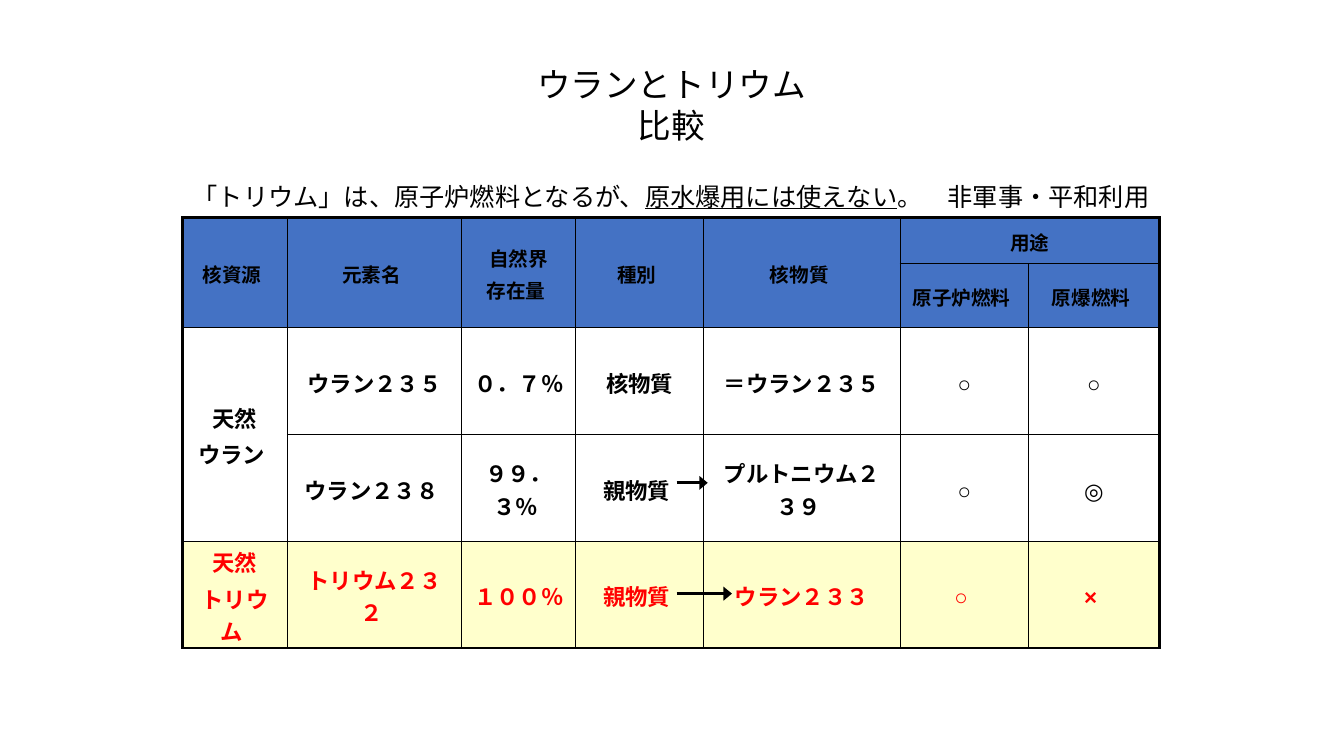
import pptx
import pptx.dml.color
import pptx.enum.shapes
import pptx.enum.text
import pptx.oxml.ns
import pptx.util
import lxml.etree

COLORS = {"ink": "000000", "header": "4472C4", "accent": "FF0000", "highlight": "FFFFCC"}
TITLE_FONT, CAPTION_FONT, TABLE_FONT = "Noto Sans CJK JP", "Cabin", "Arial"
COLUMNS = [1.04, 1.73, 1.13, 1.27, 1.95, 1.27, 1.3]
ROWS = [0.46, 0.61, 1.06, 1.06, 1.06]
MERGES = [(0, column, 1, column) for column in range(5)] + [(0, 5, 0, 6), (2, 0, 3, 0)]
CELLS = [
    ["核資源 ", "元素名 ", "自然界\n存在量 ", "種別 ", "核物質 ", "用途", ""],
    ["", "", "", "", "", "原子炉燃料 ", "原爆燃料 "],
    ["天然\nウラン ", "ウラン２３５", "０．７％", "核物質", "＝ウラン２３５", "○", "○"],
    ["", "ウラン２３８ ", "９９．３％ ", "親物質 ", "プルトニウム２３９ ", "○", "◎"],
    ["天然\nトリウム ", "トリウム２３２ ", "１００％ ", "親物質 ", "ウラン２３３", "○ ", "× "],
]


def rgb(name):
    return pptx.dml.color.RGBColor.from_string(COLORS[name])


def add_element(parent, tag, **attributes):
    return lxml.etree.SubElement(parent, pptx.oxml.ns.qn(tag), **attributes)


def write(frame, text, size, font, color="ink", bold=False, underlined="",
          line_height=None, gap=0):
    """Fill a frame with one centred paragraph per line of text; gap is in points."""
    for index, line in enumerate(text.split("\n")):
        para = frame.paragraphs[0] if index == 0 else frame.add_paragraph()
        para.alignment = pptx.enum.text.PP_ALIGN.CENTER
        para.space_before = pptx.util.Pt(gap if index else 0)
        if line_height:
            para.line_spacing = pptx.util.Pt(line_height)
        pieces = line.partition(underlined) if underlined else [line]
        for piece in filter(None, pieces):
            span = para.add_run()
            span.text = piece
            span.font.size = pptx.util.Pt(size)
            span.font.name = font
            span.font.bold = bold
            span.font.underline = piece == underlined
            span.font.color.rgb = rgb(color)
            add_element(span.font._element, "a:ea", typeface=font)


class Page:
    """One slide; every place and length is a percentage of its width or height."""

    def __init__(self, deck):
        self.deck = deck
        self.slide = deck.slides.add_slide(deck.slide_layouts[5])

    def across(self, share):
        return round(self.deck.slide_width * share / 100)

    def down(self, share):
        return round(self.deck.slide_height * share / 100)

    def area(self, left, top, width, height):
        return self.across(left), self.down(top), self.across(width), self.down(height)

    def title(self, text, *area):
        box = self.slide.shapes.title
        box.left, box.top, box.width, box.height = self.area(*area)
        box.text_frame.vertical_anchor = pptx.enum.text.MSO_ANCHOR.TOP
        write(box.text_frame, text, 24, TITLE_FONT, line_height=29)

    def caption(self, text, underlined, *area):
        frame = self.slide.shapes.add_textbox(*self.area(*area)).text_frame
        frame.word_wrap = True
        write(frame, text, 18, CAPTION_FONT, underlined=underlined, line_height=22)

    def table(self, *area):
        place = self.area(*area)
        table = self.slide.shapes.add_table(len(ROWS), len(COLUMNS), *place).table
        table.first_row = table.horz_banding = False
        for column, weight in zip(table.columns, COLUMNS):
            column.width = round(place[2] * weight / sum(COLUMNS))
        for row, weight in zip(table.rows, ROWS):
            row.height = round(place[3] * weight / sum(ROWS))
        for row, texts in enumerate(CELLS):
            for column, text in enumerate(texts):
                self.cell(table.cell(row, column), row, column, text)
        for top, left, bottom, right in MERGES:
            table.cell(top, left).merge(table.cell(bottom, right))

    def cell(self, cell, row, column, text):
        is_header, is_thorium = row < 2, row == len(ROWS) - 1
        self.borders(cell, row, column)
        if is_header or is_thorium:
            cell.fill.solid()
            cell.fill.fore_color.rgb = rgb("header" if is_header else "highlight")
        else:
            cell.fill.background()
        cell.vertical_anchor = pptx.enum.text.MSO_ANCHOR.MIDDLE
        cell.margin_top = cell.margin_bottom = self.down(0.25)
        size, line_height = (14, 20) if is_header else (16, 23)
        write(cell.text_frame, text, size, TABLE_FONT, bold=True, gap=size / 5,
              line_height=line_height, color="accent" if is_thorium else "ink")

    def borders(self, cell, row, column):
        """Draw thin inner lines and a thick outer frame."""
        properties = cell._tc.get_or_add_tcPr()
        right_end = {(top, left): right for top, left, _, right in MERGES}
        last_column = right_end.get((row, column), column)
        outer = {"L": column == 0, "R": last_column == len(COLUMNS) - 1,
                 "T": row == 0, "B": row == len(ROWS) - 1}
        for side, is_outer in outer.items():
            width = pptx.util.Pt(2.25 if is_outer else 1)
            line = add_element(properties, f"a:ln{side}", w=str(width))
            add_element(add_element(line, "a:solidFill"), "a:srgbClr", val=COLORS["ink"])

    def arrow(self, start, end, level):
        arrow = self.slide.shapes.add_connector(
            pptx.enum.shapes.MSO_CONNECTOR.STRAIGHT,
            self.across(start), self.down(level), self.across(end), self.down(level))
        arrow.line.width = pptx.util.Pt(2)
        arrow.line.color.rgb = rgb("ink")
        add_element(arrow.line._get_or_add_ln(), "a:tailEnd", type="triangle", w="lg")
        add_element(arrow._element.spPr, "a:effectLst")


def main():
    deck = pptx.Presentation()
    deck.slide_width = pptx.util.Inches(13.33)
    deck.slide_height = pptx.util.Inches(7.5)
    page = Page(deck)
    page.title("ウランとトリウム\n比較", 28.81, 7.74, 42.31, 12.13)
    page.caption("「トリウム」は、原子炉燃料となるが、原水爆用には使えない。　非軍事・平和利用",
                 "原水爆用には使えない", 13.58, 23.2, 72.69, 5.33)
    page.table(13.58, 28.75, 72.69, 56.67)
    for end, level in [(52.66, 63.87), (54.46, 78.53)]:
        page.arrow(50.34, end, level)
    deck.save("out.pptx")


if __name__ == "__main__":
    main()
